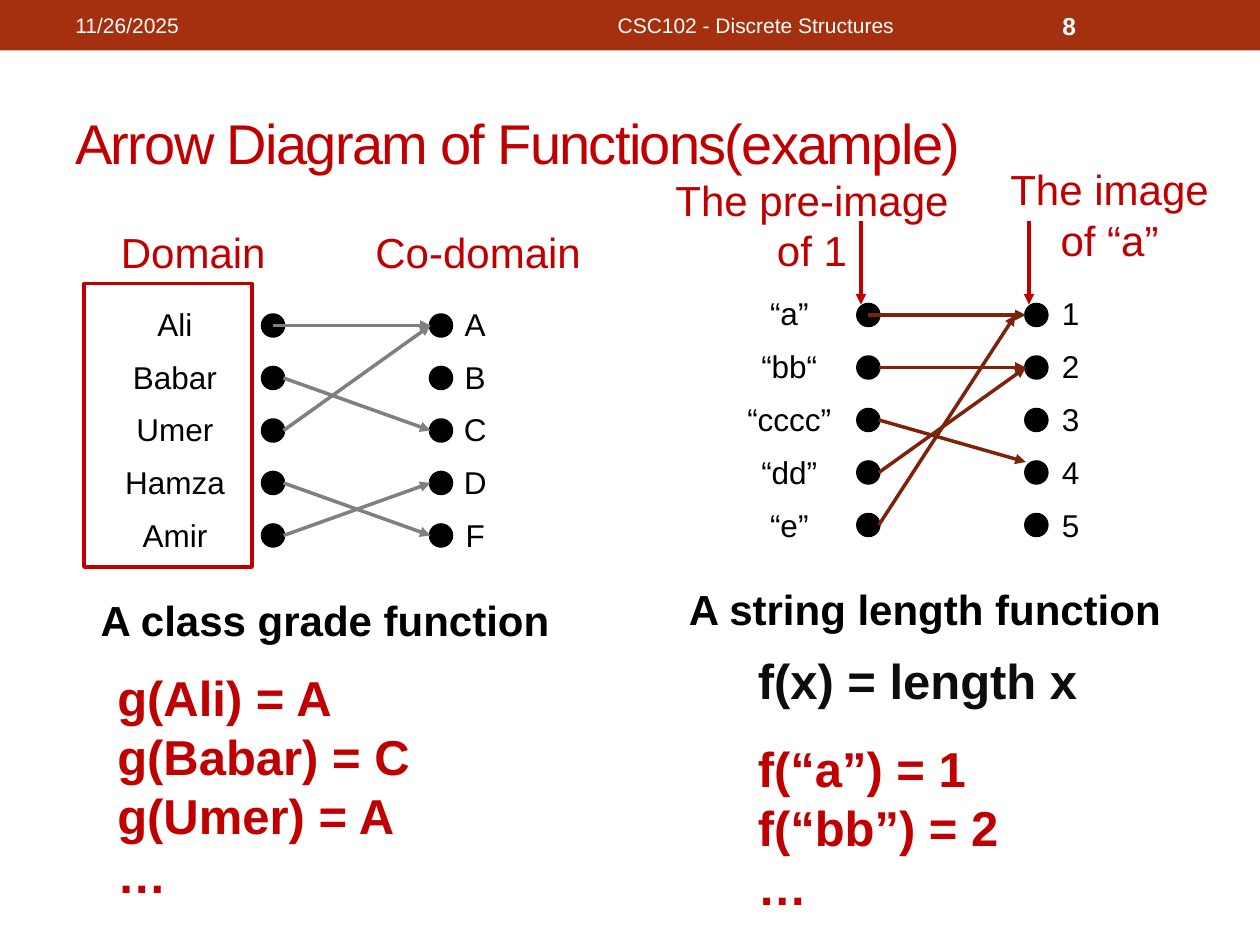
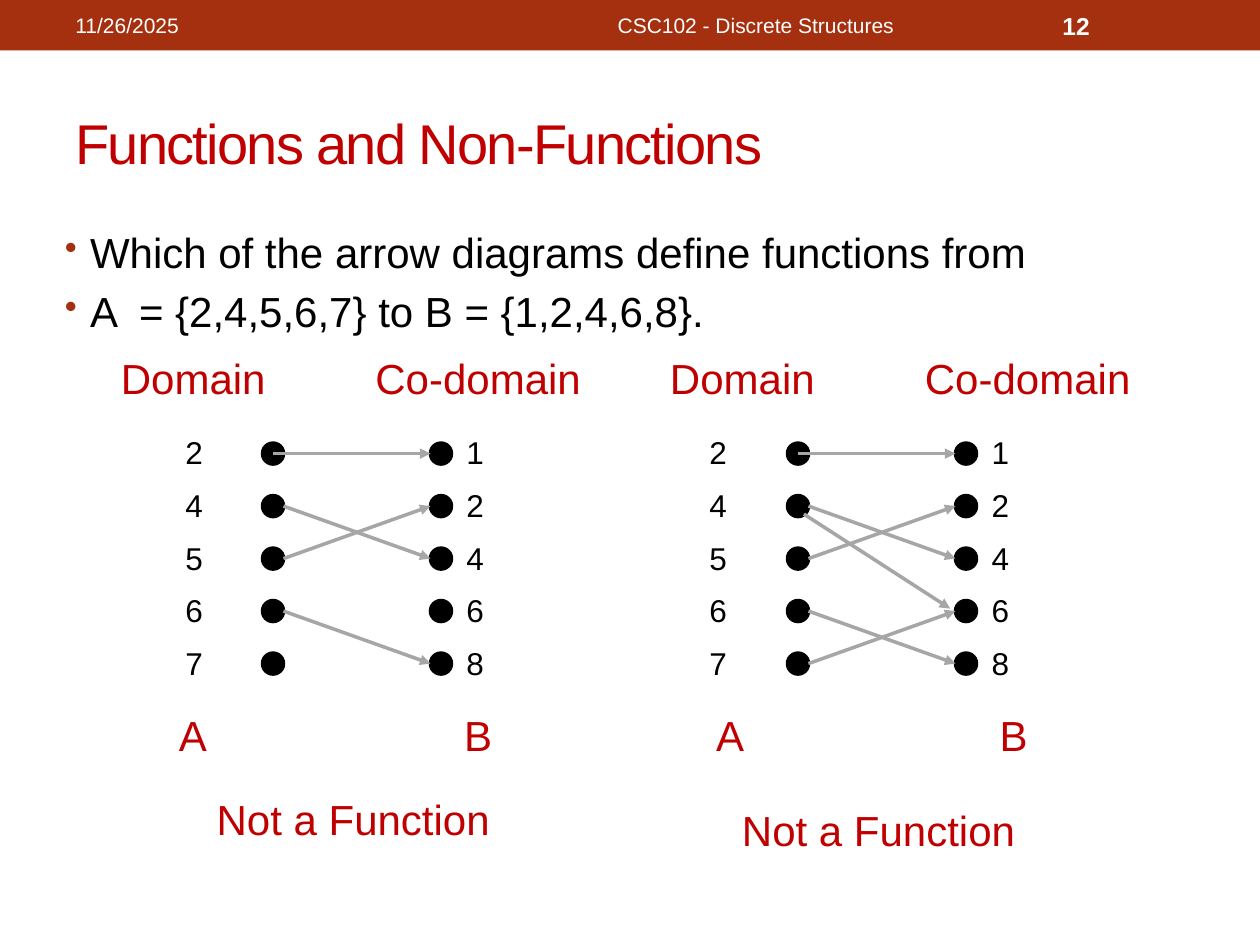
from pptx import Presentation
from pptx.dml.color import RGBColor
from pptx.enum import shapes, text
from pptx.oxml import parse_xml
from pptx.oxml.ns import nsdecls, qn
from pptx.util import Pt

# Colours and type
FONT = "Arial"
RUST = RGBColor(0xA5, 0x30, 0x0F)
DARK_RUST = RGBColor(0x7C, 0x24, 0x0B)
RED = RGBColor(0xC0, 0x00, 0x00)
BLACK = RGBColor(0x00, 0x00, 0x00)
NEAR_BLACK = RGBColor(0x0D, 0x0D, 0x0D)
WHITE = RGBColor(0xFF, 0xFF, 0xFF)
GRAY = RGBColor(0x80, 0x80, 0x80)
LIGHT_GRAY = RGBColor(0xA6, 0xA6, 0xA6)
LEFT, CENTER, JUSTIFY = text.PP_ALIGN.LEFT, text.PP_ALIGN.CENTER, text.PP_ALIGN.JUSTIFY

# Shared measures
DOT, ROW_STEP, COLUMN_STEP = 12, 30, 96
LABEL_OFFSET = 19.6

DATE = "11/26/2025"
COURSE = "CSC102 - Discrete Structures"

# Diagrams: origin is the centre of the first domain dot.
# An arrow is (domain row, co-domain row, start nudge, end nudge).
FROM_CENTER = (-DOT / 2, 0)
STILL = (0, 0)
GRADES = dict(
    origin=(156, 186), label_center=100, color=GRAY,
    domain=["Ali", "Babar", "Umer", "Hamza", "Amir"],
    codomain=["A", "B", "C", "D", "F"],
    arrows=[(0, 0, FROM_CENTER, STILL), (1, 2), (3, 4), (2, 0), (4, 3)])
LENGTHS = dict(
    origin=(496.2, 180), label_center=451, color=DARK_RUST,
    domain=["“a”", "“bb“", "“cccc”", "“dd”", "“e”"],
    codomain=["1", "2", "3", "4", "5"],
    arrows=[(0, 0, FROM_CENTER, STILL), (1, 1), (3, 1),
            (2, 3, STILL, (0, -6)), (4, 0, STILL, (-6, 0))])
NUMBERS = dict(color=LIGHT_GRAY, domain=["2", "4", "5", "6", "7"],
               codomain=["1", "2", "4", "6", "8"])
SHARED_ARROWS = [(0, 0, FROM_CENTER, STILL), (1, 2), (3, 4), (2, 1)]
MISSING_IMAGE = dict(NUMBERS, origin=(156, 259.2), label_center=111,
                     arrows=SHARED_ARROWS)
TWO_IMAGES = dict(NUMBERS, origin=(456, 259.2), label_center=410.4,
                  arrows=SHARED_ARROWS + [(4, 3), (1, 3, (-2.6, 4.6), (-3, -1.4))])

# Red labels: (centre x, top, lines)
EXAMPLE_LABELS = [
    (110.4, 126, ["Domain"]),
    (273.2, 126, ["Co-domain"]),
    (464, 96, ["The pre-image", "of 1"]),
    (634, 90, ["The image", "of “a”"]),
]
QUESTION_LABELS = [
    (110.4, 198, ["Domain"]), (273.2, 198, ["Co-domain"]),
    (424.2, 198, ["Domain"]), (587.2, 198, ["Co-domain"]),
    (110.2, 402, ["A"]), (273.2, 402, ["B"]),
    (417.2, 402, ["A"]), (579.2, 402, ["B"]),
    (201.8, 450, ["Not a Function"]), (502, 456, ["Not a Function"]),
]
CAPTIONS = [(185.7, 336, ["A class grade function"]),
            (528.5, 330, ["A string length function"])]
GRADE_VALUES = ["g(Ali) = A", "g(Babar) = C", "g(Umer) = A", "…"]
LENGTH_RULE = "f(x) = length x"
LENGTH_VALUES = ["f(“a”) = 1", "f(“bb”) = 2", "…"]
QUESTION = ["Which of the arrow diagrams define functions from",
            "A  = {2,4,5,6,7} to B = {1,2,4,6,8}."]


def add_text(page, area, lines, size, color, bold=False, align=LEFT,
             anchor=text.MSO_ANCHOR.TOP, line_spacing=None, wrap=True, tracking=0):
    box = page.shapes.add_textbox(*map(Pt, area))
    frame = box.text_frame
    frame.word_wrap = wrap
    frame.vertical_anchor = anchor
    for index, line in enumerate(lines):
        para = frame.paragraphs[0] if index == 0 else frame.add_paragraph()
        para.alignment = align
        if line_spacing:
            para.line_spacing = line_spacing
        span = para.add_run()
        span.text = line
        span.font.name, span.font.size, span.font.bold = FONT, Pt(size), bold
        span.font.color.rgb = color
        if tracking:
            span._r.get_or_add_rPr().set("spc", str(tracking * 100))
    return frame


def add_centered(page, center, top, lines, size=24, color=RED, **style):
    width = 40 + max(map(len, lines)) * size * 0.6
    height = 7.2 + len(lines) * size * 1.2 * style.get("line_spacing", 1)
    add_text(page, (center - width / 2, top, width, height), lines, size, color,
             align=CENTER, wrap=False, **style)


def add_shape(page, kind, area, fill=None, line=None):
    shape = page.shapes.add_shape(kind, *map(Pt, area))
    shape.shadow.inherit = False
    if fill is None:
        shape.fill.background()
    else:
        shape.fill.solid()
        shape.fill.fore_color.rgb = fill
    if line is None:
        shape.line.fill.background()
    else:
        shape.line.color.rgb = line
        shape.line.width = Pt(2)


def add_arrow(page, start, end, color):
    arrow = page.shapes.add_connector(shapes.MSO_CONNECTOR.STRAIGHT,
                                      *map(Pt, (*start, *end)))
    arrow.line.color.rgb = color
    arrow.line.width = Pt(2)
    properties = arrow._element.spPr
    properties.find(qn("a:ln")).append(
        parse_xml(f'<a:tailEnd {nsdecls("a")} type="triangle"/>'))
    properties.append(parse_xml(f'<a:effectLst {nsdecls("a")}/>'))


def add_diagram(page, origin, label_center, color, domain, codomain, arrows):
    left, top = origin
    right = left + COLUMN_STEP
    radius = DOT / 2
    for x in (left, right):
        for row in range(len(domain)):
            add_shape(page, shapes.MSO_SHAPE.OVAL,
                      (x - radius, top + row * ROW_STEP - radius, DOT, DOT),
                      BLACK, BLACK)
    for center, labels in ((label_center, domain), (right + LABEL_OFFSET, codomain)):
        add_centered(page, center, top - 24, labels, 18, BLACK, line_spacing=1.4)
    for source, target, *nudges in arrows:
        (start_x, start_y), (end_x, end_y) = nudges or (STILL, STILL)
        add_arrow(page,
                  (left + radius + start_x, top + source * ROW_STEP + start_y),
                  (right - radius + end_x, top + target * ROW_STEP + end_y), color)


def add_page(deck, title, number):
    page = deck.slides.add_slide(deck.slide_layouts[6])
    middle = text.MSO_ANCHOR.MIDDLE
    add_shape(page, shapes.MSO_SHAPE.RECTANGLE, (0, 0, 720, 28.8), RUST)
    add_text(page, (36, 42, 648, 78), [title], 32, RED, anchor=middle, tracking=-1)
    add_text(page, (36, 1.6, 228, 26), [DATE], 12, WHITE, anchor=middle)
    add_text(page, (270, 1.6, 324, 26), [COURSE], 12, WHITE, align=CENTER, anchor=middle)
    add_text(page, (600, 1.6, 84, 26), [str(number)], 14, WHITE, True, anchor=middle)
    return page


def add_bullets(page, area, lines):
    frame = add_text(page, area, lines, 24, BLACK, align=JUSTIFY)
    for index, para in enumerate(frame.paragraphs):
        if index:
            para.space_before = Pt(4.8)
        properties = para._p.get_or_add_pPr()
        properties.set("marL", str(Pt(14.4)))
        properties.set("indent", str(-Pt(14.4)))
        for bullet in (f'<a:buClr {nsdecls("a")}><a:srgbClr val="{RUST}"/></a:buClr>',
                       f'<a:buSzPct {nsdecls("a")} val="85000"/>',
                       f'<a:buChar {nsdecls("a")} char="•"/>'):
            properties.append(parse_xml(bullet))


def build_example(deck):
    page = add_page(deck, "Arrow Diagram of Functions(example)", 8)
    for diagram in (GRADES, LENGTHS):
        add_diagram(page, **diagram)
    # Domain frame and callout arrows
    add_shape(page, shapes.MSO_SHAPE.RECTANGLE, (48, 162, 96, 162), line=RED)
    for x in (492, 588):
        add_arrow(page, (x, 126), (x, 174), RED)
    for label in EXAMPLE_LABELS:
        add_centered(page, *label)
    for caption in CAPTIONS:
        add_centered(page, *caption, color=BLACK, bold=True)
    # Function values
    add_text(page, (60, 378, 191, 143), GRADE_VALUES, 28, RED, True, wrap=False)
    frame = add_text(page, (426, 368, 222, 160), [LENGTH_RULE] + LENGTH_VALUES,
                     28, RED, True)
    frame.paragraphs[0].runs[0].font.color.rgb = NEAR_BLACK
    frame.paragraphs[1].space_before = Pt(17)


def build_question(deck):
    page = add_page(deck, "Functions and Non-Functions", 12)
    add_bullets(page, (30, 126, 648, 72), QUESTION)
    for diagram in (MISSING_IMAGE, TWO_IMAGES):
        add_diagram(page, **diagram)
    for label in QUESTION_LABELS:
        add_centered(page, *label)


def main():
    deck = Presentation()
    deck.slide_width, deck.slide_height = Pt(720), Pt(540)
    build_example(deck)
    build_question(deck)
    deck.save("out.pptx")


if __name__ == "__main__":
    main()
